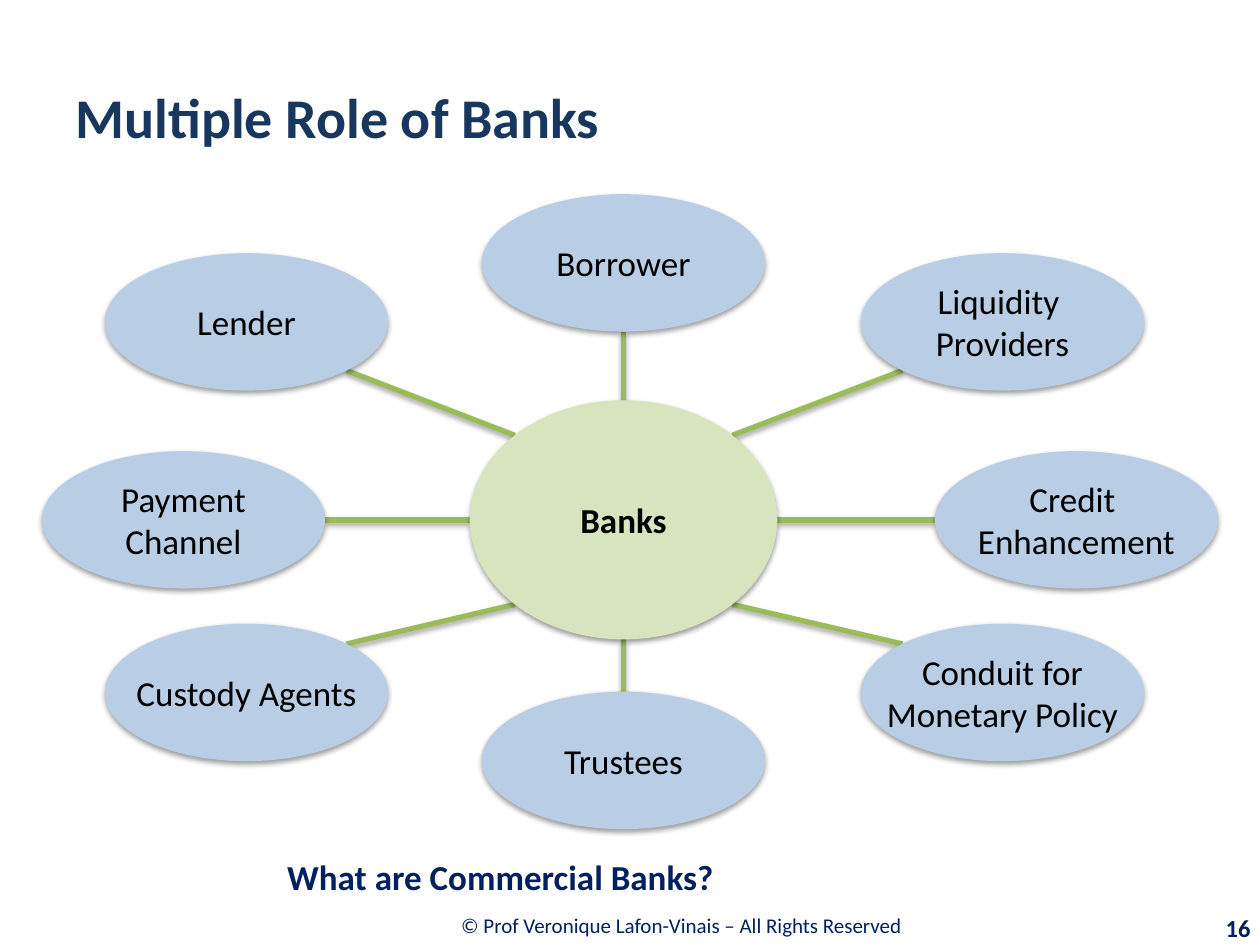
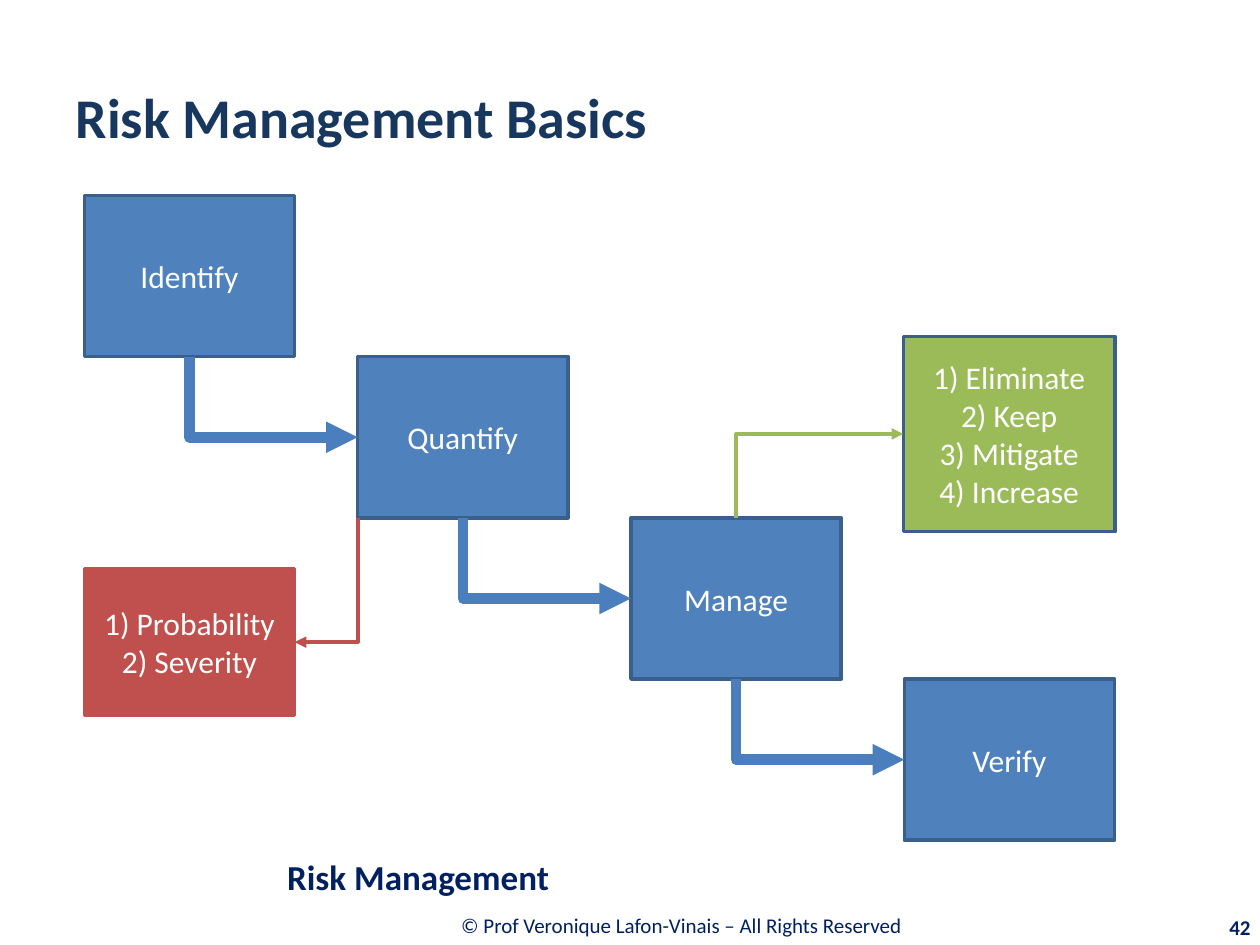
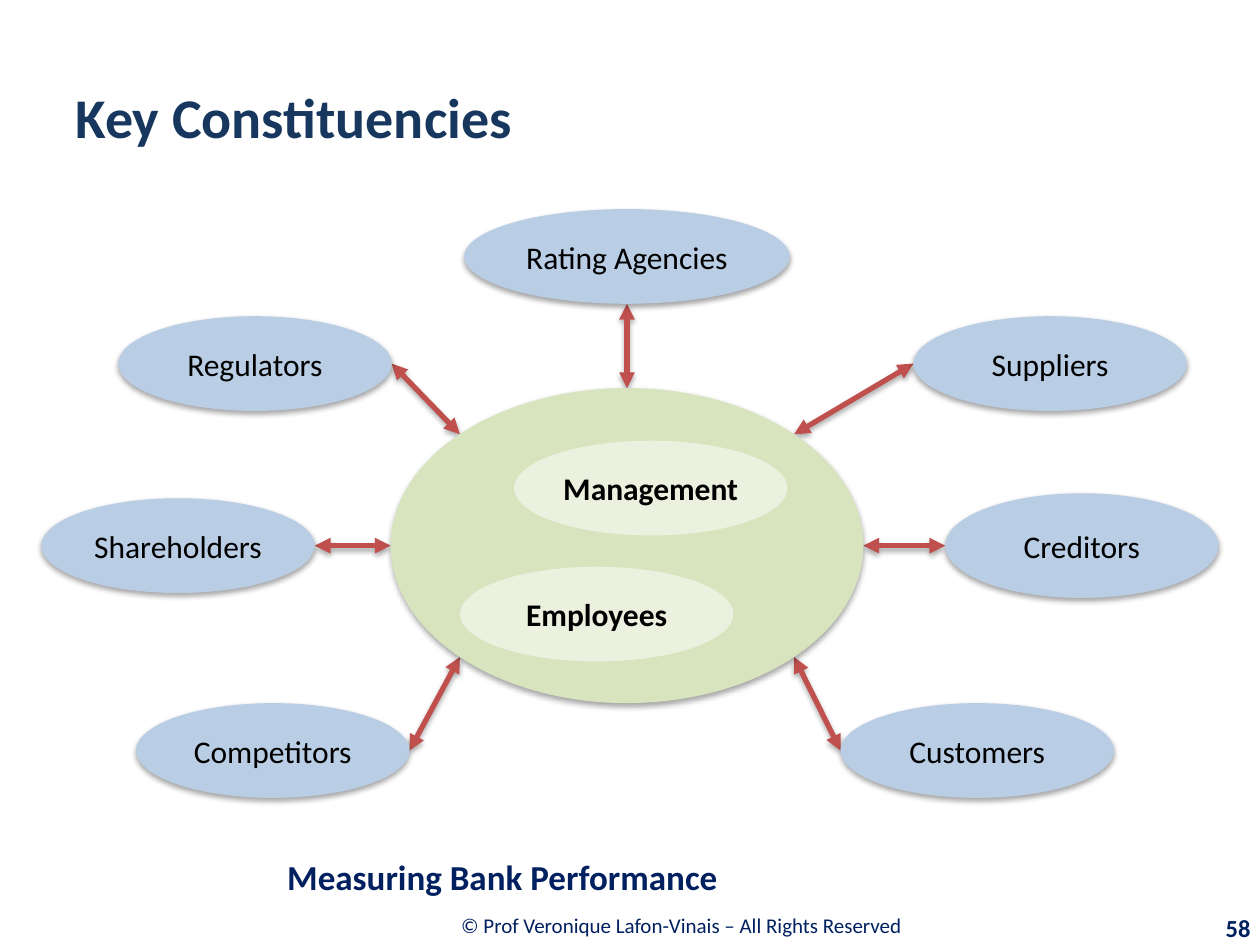
from dataclasses import dataclass
from math import hypot

from lxml import etree
from pptx import Presentation
from pptx.dml.color import RGBColor
from pptx.enum import shapes, text
from pptx.oxml import ns
from pptx.util import Cm, Pt

# Shared style
FONT = "Calibri"
NAVY = RGBColor(0x00, 0x20, 0x60)
TITLE_BLUE = RGBColor(0x17, 0x37, 0x5E)
BLUE = RGBColor(0x4F, 0x81, 0xBD)
BORDER_BLUE = RGBColor(0x3A, 0x5F, 0x8C)
ARROW_BLUE = RGBColor(0x4B, 0x7E, 0xBC)
PALE_BLUE = RGBColor(0xB9, 0xCD, 0xE5)
GREEN = RGBColor(0x9B, 0xBB, 0x59)
PALE_GREEN = RGBColor(0xD7, 0xE4, 0xBD)
LIGHT_GREEN = RGBColor(0xEB, 0xF1, 0xDE)
RED = RGBColor(0xC0, 0x50, 0x4D)
BLACK = RGBColor(0, 0, 0)
WHITE = RGBColor(0xFF, 0xFF, 0xFF)

COPYRIGHT = "© Prof Veronique Lafon-Vinais – All Rights Reserved "
LEFT, CENTER, RIGHT = text.PP_ALIGN.LEFT, text.PP_ALIGN.CENTER, text.PP_ALIGN.RIGHT
TOP_SIDE, LEFT_SIDE, BOTTOM_SIDE = 0, 1, 2


@dataclass
class Oval:
    """An ellipse given by its centre and size in centimetres."""
    label: str
    x: float
    y: float
    width: float
    height: float

    def edge_point(self, dx, dy):
        """Point on the outline in one of eight directions."""
        length = hypot(dx, dy)
        return (Cm(self.x + dx / length * self.width / 2),
                Cm(self.y + dy / length * self.height / 2))


# Text and effects
def write_text(shape, content, size, colour, bold=False, align=CENTER, wrap=True):
    frame = shape.text_frame
    frame.text = content
    frame.word_wrap = wrap
    frame.vertical_anchor = text.MSO_ANCHOR.MIDDLE
    for paragraph in frame.paragraphs:
        paragraph.alignment = align
        for run in paragraph.runs:
            run.font.name = FONT
            run.font.size = Pt(size)
            run.font.bold = bold
            run.font.color.rgb = colour


def add_shadow(shape, opacity, distance):
    properties = shape._element.spPr
    effects = properties.find(ns.qn("a:effectLst"))
    if effects is None:
        effects = etree.SubElement(properties, ns.qn("a:effectLst"))
    shadow = etree.SubElement(effects, ns.qn("a:outerShdw"), blurRad=str(Pt(3.15)),
                              dist=str(Pt(distance)), dir="5400000", rotWithShape="0")
    colour = etree.SubElement(shadow, ns.qn("a:srgbClr"), val="000000")
    etree.SubElement(colour, ns.qn("a:alpha"), val=str(opacity * 1000))


# Slide frame
def add_textbox(slide, box, content, size, **style):
    textbox = slide.shapes.add_textbox(*map(Cm, box))
    write_text(textbox, content, size, NAVY, **style)


def add_framed_slide(presentation, title, section, number, number_size=14):
    slide = presentation.slides.add_slide(presentation.slide_layouts[5])
    heading = slide.shapes.title
    heading.left, heading.top, heading.width, heading.height = map(
        Cm, (1.27, 0.76, 22.86, 3.18))
    write_text(heading, title, 32, TITLE_BLUE, bold=True, align=LEFT)
    add_textbox(slide, (5.56, 18.16, 16.46, 0.99), COPYRIGHT, 12)
    add_textbox(slide, (5.54, 17.07, 19.86, 1.19), section, 20, bold=True, align=LEFT)
    add_textbox(slide, (22.89, 18.29, 2.57, 0.81), number, number_size,
                bold=True, align=RIGHT)
    return slide


# Diagram elements
def add_oval(slide, oval, fill, size, bold=False, shadow=None):
    shape = slide.shapes.add_shape(
        shapes.MSO_SHAPE.OVAL, Cm(oval.x - oval.width / 2), Cm(oval.y - oval.height / 2),
        Cm(oval.width), Cm(oval.height))
    shape.shadow.inherit = False
    shape.fill.solid()
    shape.fill.fore_color.rgb = fill
    shape.line.fill.background()
    if shadow:
        add_shadow(shape, *shadow)
    write_text(shape, oval.label, size, BLACK, bold=bold, wrap=False)


def add_box(slide, box, label, fill=BLUE, border=BORDER_BLUE):
    shape = slide.shapes.add_shape(shapes.MSO_SHAPE.RECTANGLE, *map(Cm, box))
    shape.shadow.inherit = False
    shape.fill.solid()
    shape.fill.fore_color.rgb = fill
    shape.line.color.rgb = border
    shape.line.width = Pt(2)
    write_text(shape, label, 18, WHITE)
    return shape


def style_connector(connector, colour, width, ends=()):
    connector.line.color.rgb = colour
    connector.line.width = Pt(width)
    for end in ends:
        etree.SubElement(connector.line._get_or_add_ln(), ns.qn(end), type="triangle")
    etree.SubElement(connector._element.spPr, ns.qn("a:effectLst"))


def add_spoke(slide, start, end, colour, ends=()):
    connector = slide.shapes.add_connector(
        shapes.MSO_CONNECTOR.STRAIGHT, *start, *end)
    style_connector(connector, colour, 3, ends)
    add_shadow(connector, 35, 1.81)


def add_elbow(slide, start, end, colour, width):
    """Arrow that leaves vertically and arrives horizontally."""
    (x1, y1), (x2, y2) = start, end
    connector = slide.shapes.add_connector(shapes.MSO_CONNECTOR.ELBOW, x1, y1, x2, y2)
    style_connector(connector, colour, width, ["a:tailEnd"])
    shape_properties = connector._element.spPr
    shape_properties.find(ns.qn("a:prstGeom")).set("prst", "bentConnector2")
    # The one-bend preset starts horizontally, so its frame is turned
    rightward, downward = x2 > x1, y2 > y1
    connector.width, connector.height = abs(y2 - y1), abs(x2 - x1)
    connector.left = (x1 + x2 - connector.width) // 2
    connector.top = (y1 + y2 - connector.height) // 2
    frame = shape_properties.find(ns.qn("a:xfrm"))
    frame.set("rot", str((270 if rightward and downward else 90) * 60000))
    frame.set("flipH", "1" if rightward else "0")
    frame.set("flipV", "0" if downward else "1")


def side_middle(shape, side):
    if side == LEFT_SIDE:
        return shape.left, shape.top + shape.height // 2
    return shape.left + shape.width // 2, shape.top + (
        shape.height if side == BOTTOM_SIDE else 0)


# Slides
def build_roles(presentation):
    slide = add_framed_slide(presentation, "Multiple Role of Banks",
                             "What are Commercial Banks?", "16")
    hub = Oval("Banks", 12.57, 10.48, 6.2, 4.82)
    roles = [  # label, centre, direction from the hub
        ("Borrower", 12.57, 5.3, 0, -1),
        ("Liquidity \nProviders", 20.21, 6.49, 1, -1),
        ("Credit \nEnhancement", 21.7, 10.48, 1, 0),
        ("Conduit for\nMonetary Policy", 20.21, 13.96, 1, 1),
        ("Trustees", 12.57, 15.33, 0, 1),
        ("Custody Agents", 4.97, 13.96, -1, 1),
        ("Payment\nChannel", 3.7, 10.48, -1, 0),
        ("Lender", 4.97, 6.49, -1, -1),
    ]
    shadow = (38, 1.57)
    for label, x, y, dx, dy in roles:
        role = Oval(label, x, y, 5.71, 2.77)
        add_spoke(slide, role.edge_point(-dx, -dy), hub.edge_point(dx, dy), GREEN)
        add_oval(slide, role, PALE_BLUE, 20, shadow=shadow)
    add_oval(slide, hub, PALE_GREEN, 20, bold=True, shadow=shadow)


def build_risk_steps(presentation):
    slide = add_framed_slide(presentation, "Risk Management Basics",
                             "Risk Management", "42", number_size=12)
    # Staircase of steps
    steps = [add_box(slide, (1.7 + 5.51 * i, 3.94 + 3.25 * i, 4.24, 3.25), label)
             for i, label in enumerate(["Identify", "Quantify", "Manage", "Verify"])]
    quantify, manage = steps[1:3]
    measures = add_box(slide, (1.7, 11.46, 4.24, 2.97),
                       "1) Probability\n2) Severity", RED, RED)
    responses = add_box(slide, (18.21, 6.78, 4.27, 3.94),
                        "1) Eliminate\n2) Keep\n3) Mitigate\n4) Increase", GREEN)
    # Arrows between steps, then to the details
    for step, following in zip(steps, steps[1:]):
        add_elbow(slide, side_middle(step, BOTTOM_SIDE),
                  side_middle(following, LEFT_SIDE), ARROW_BLUE, 6)
    add_elbow(slide, (quantify.left, quantify.top + quantify.height),
              (measures.left + measures.width, measures.top + measures.height // 2),
              RED, 2.25)
    add_elbow(slide, side_middle(manage, TOP_SIDE),
              side_middle(responses, LEFT_SIDE), GREEN, 2.25)


def build_constituencies(presentation):
    slide = add_framed_slide(presentation, "Key Constituencies",
                             "Measuring Bank Performance", "58")
    hub = Oval("", 12.64, 11, 9.53, 6.35)
    width, height = 5.51, 1.91
    parties = [  # oval, direction from the hub
        (Oval("Rating Agencies", 12.64, 5.17, 6.56, height), 0, -1),
        (Oval("Suppliers", 21.17, 7.33, width, height), 1, -1),
        (Oval("Creditors", 21.81, 11, width, 2.11), 1, 0),
        (Oval("Customers", 19.7, 15.13, width, height), 1, 1),
        (Oval("Competitors", 5.5, 15.13, width, height), -1, 1),
        (Oval("Shareholders", 3.59, 11, width, height), -1, 0),
        (Oval("Regulators", 5.14, 7.33, width, height), -1, -1),
    ]
    shadow = (35, 1.81)
    for party, dx, dy in parties:
        near_side = (-dx, 0) if dx else (0, -dy)
        add_spoke(slide, hub.edge_point(dx, dy), party.edge_point(*near_side), RED,
                  ["a:headEnd", "a:tailEnd"])
    add_oval(slide, hub, PALE_GREEN, 18, shadow=shadow)
    for party, _, _ in parties:
        add_oval(slide, party, PALE_BLUE, 18, shadow=shadow)
    for label, x, y in [("Employees", 12.03, 12.38), ("Management", 13.12, 9.84)]:
        add_oval(slide, Oval(label, x, y, width, height), LIGHT_GREEN, 18, bold=True)


def main():
    presentation = Presentation()
    presentation.slide_width, presentation.slide_height = Cm(25.4), Cm(19.05)
    build_roles(presentation)
    build_risk_steps(presentation)
    build_constituencies(presentation)
    presentation.save("out.pptx")


if __name__ == "__main__":
    main()
